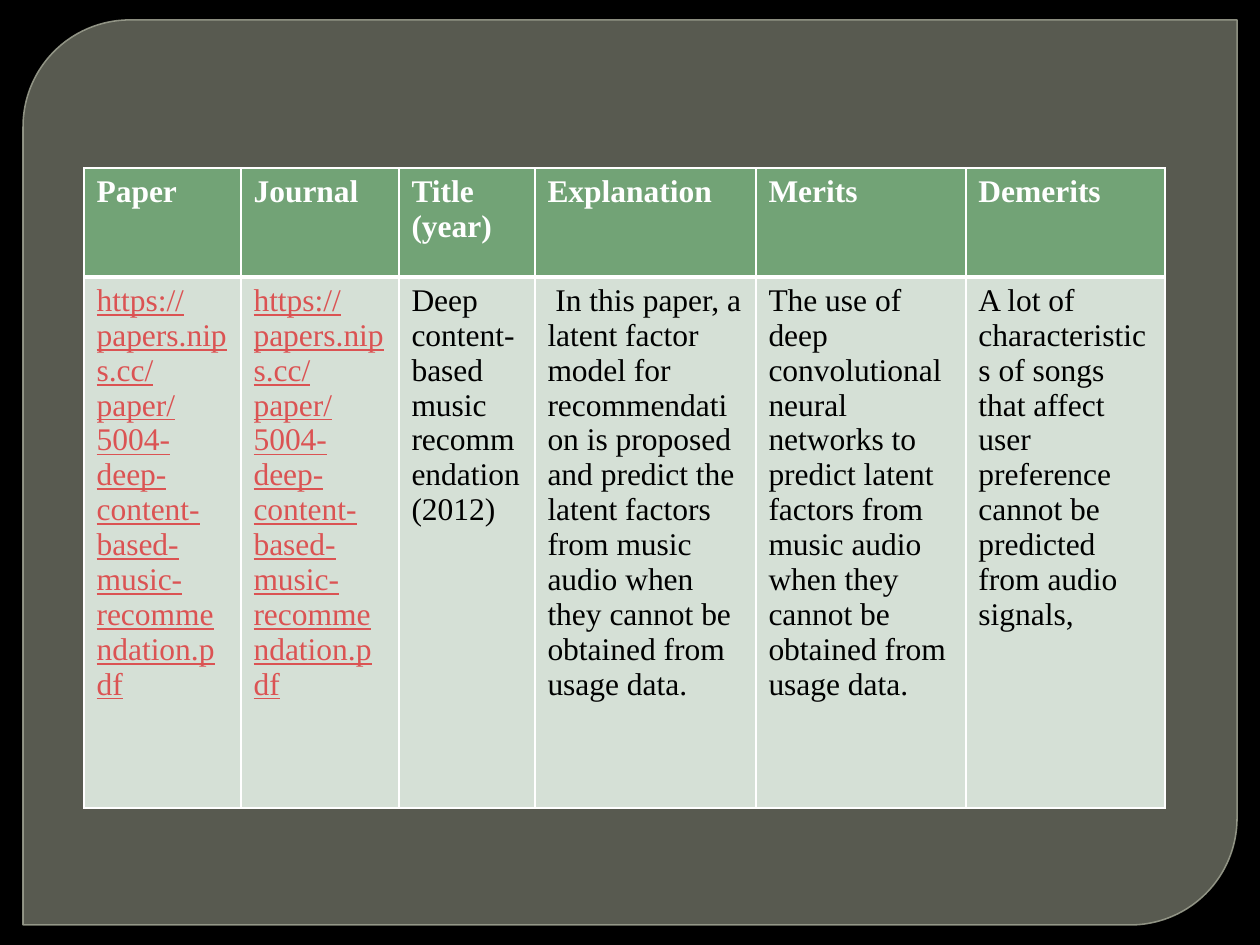
import pptx
import pptx.util
import pptx.dml.color
import pptx.enum.shapes
import pptx.oxml
import pptx.oxml.ns

# Content: heading, column width in px, body text
LINK = "https://papers.nips.cc/paper/5004-deep-content-based-music-recommendation.pdf"
COLS = [
    ("Paper", 157, LINK),
    ("Journal", 158, LINK),
    ("Title (year)", 136, "Deep content-based music recommendation(2012)"),
    ("Explanation", 221,
     " In this paper, a latent factor model for recommendation is proposed and "
     "predict the latent factors from music audio when they cannot be obtained "
     "from usage data."),
    ("Merits", 210,
     "The use of deep convolutional neural networks to predict latent factors "
     "from music audio when they cannot be obtained from usage data."),
    ("Demerits", 199,
     "A lot of characteristics of songs that affect user preference cannot be "
     "predicted from audio signals,"),
]
ROWS = [109, 531]
LEFT, TOP = 84, 168
FONT = "Times New Roman"


def px(n):
    return pptx.util.Emu(round(n * 914400 / 126))


def tint(hue):
    return pptx.dml.color.RGBColor.from_string(hue)


def fade(shape, tag, part):
    """Set the opacity of the colour inside the first element named tag."""
    fill = shape._element.spPr.find(tag, shape._element.nsmap)
    alpha = pptx.oxml.parse_xml(
        f'<a:alpha {pptx.oxml.ns.nsdecls("a")} val="{part * 1000}"/>')
    fill[0].append(alpha)


def edge(cell, side, width):
    line = pptx.oxml.parse_xml(
        f'<a:ln{side} {pptx.oxml.ns.nsdecls("a")} w="{width * 12700}">'
        '<a:solidFill><a:srgbClr val="FFFFFF"/></a:solidFill>'
        f'</a:ln{side}>')
    cell._tc.get_or_add_tcPr().append(line)


def fill_cell(cell, text, head):
    for side in "LRTB":
        # The heavy rule lies between the header and the body
        heavy = side == ("B" if head else "T")
        edge(cell, side, 3 if heavy else 1)
    cell.fill.solid()
    cell.fill.fore_color.rgb = tint("72A376" if head else "D5E0D6")
    cell.text_frame.text = text
    link = text == LINK
    font = cell.text_frame.paragraphs[0].runs[0].font
    font.name, font.size = FONT, pptx.util.Pt(18)
    font.bold, font.underline = head, link
    font.color.rgb = tint("FFFFFF" if head else "DB5353" if link else "000000")


def main():
    deck = pptx.Presentation()
    deck.slide_width, deck.slide_height = px(1260), px(945)
    slide = deck.slides.add_slide(deck.slide_layouts[6])
    slide.background.fill.solid()
    slide.background.fill.fore_color.rgb = tint("000000")

    # Rounded backdrop
    panel = slide.shapes.add_shape(
        pptx.enum.shapes.MSO_SHAPE.ROUND_2_DIAG_RECTANGLE,
        px(23), px(20), px(1214), px(905))
    panel.shadow.inherit = False
    panel.adjustments[0], panel.adjustments[1] = 0.118, 0
    panel.fill.solid()
    panel.fill.fore_color.rgb = tint("888B7B")
    panel.line.color.rgb = tint("9DA090")
    panel.line.width = pptx.util.Pt(0.87)
    fade(panel, "a:solidFill", 65)
    fade(panel, "a:ln/a:solidFill", 88)

    # Paper review table
    wide = sum(width for _, width, _ in COLS)
    table = slide.shapes.add_table(
        len(ROWS), len(COLS), px(LEFT), px(TOP), px(wide), px(sum(ROWS))).table
    for row, height in zip(table.rows, ROWS):
        row.height = px(height)
    for c, (title, width, body) in enumerate(COLS):
        table.columns[c].width = px(width)
        fill_cell(table.cell(0, c), title, True)
        fill_cell(table.cell(1, c), body, False)

    deck.save("out.pptx")


if __name__ == "__main__":
    main()
